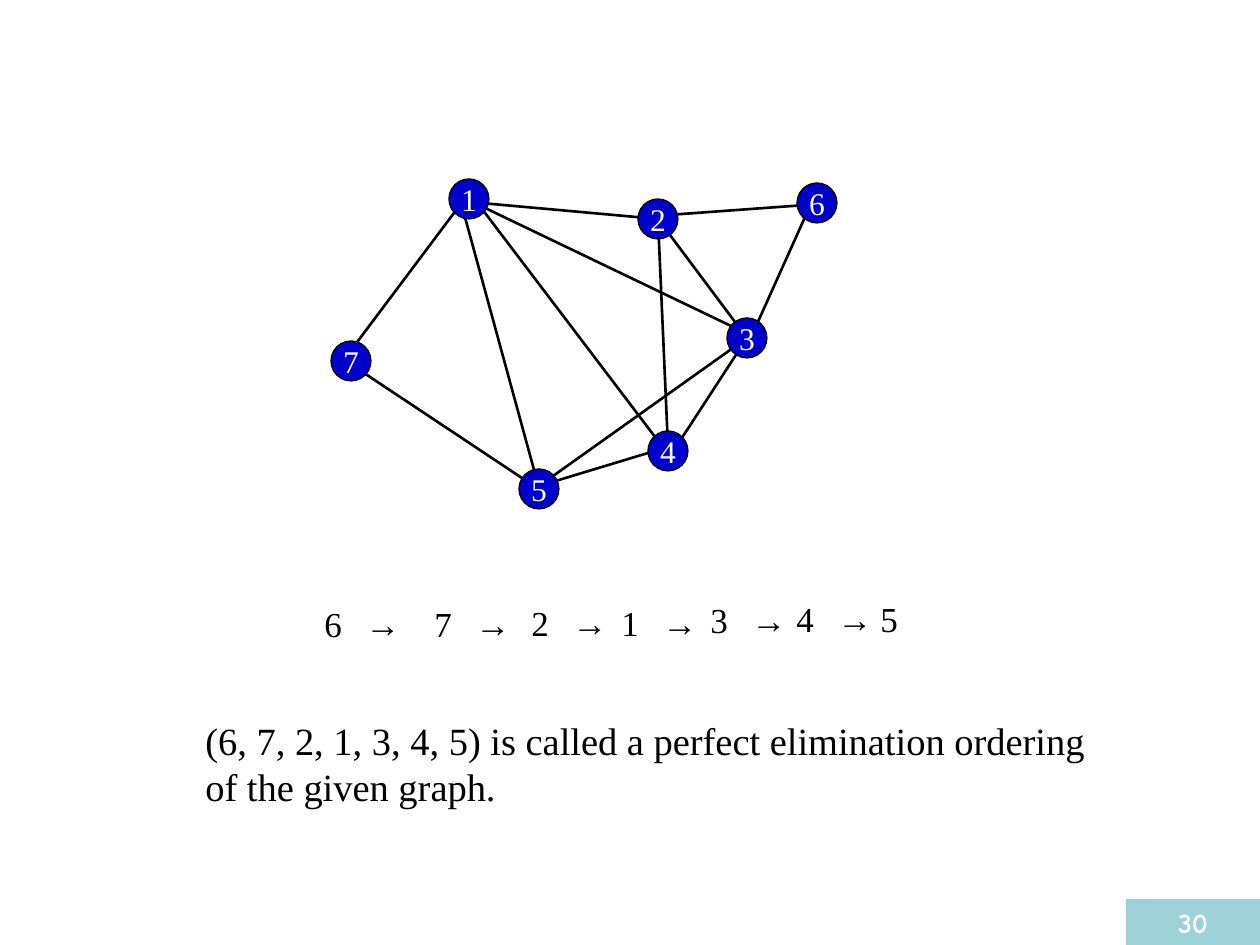
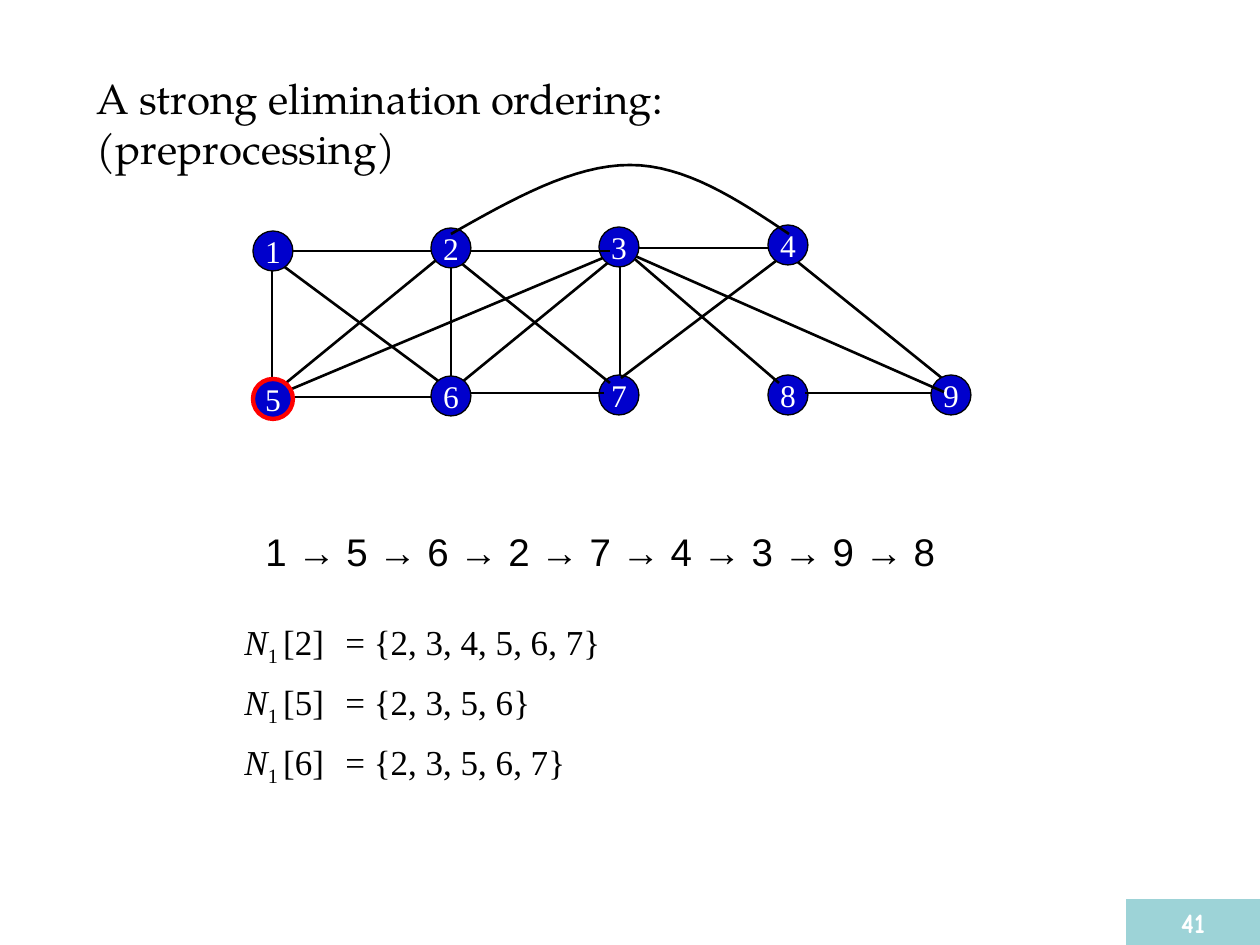
import lxml.etree
import pptx
import pptx.dml.color
import pptx.enum.shapes
import pptx.enum.text
import pptx.oxml.ns
import pptx.util

RGB = pptx.dml.color.RGBColor
ALIGN = pptx.enum.text.PP_ALIGN
ANCHOR = pptx.enum.text.MSO_ANCHOR
SHAPE = pptx.enum.shapes.MSO_SHAPE

BLACK = RGB(0x00, 0x00, 0x00)
WHITE = RGB(0xFF, 0xFF, 0xFF)
NODE_BLUE = RGB(0x00, 0x00, 0xCC)
MARK_RED = RGB(0xFF, 0x00, 0x00)
BAND_TEAL = RGB(0x9D, 0xD3, 0xD7)

SERIF, SANS = "Times New Roman", "Arial"
TITLE_FONT, NUMBER_FONT = "TeX Gyre Pagella", "Comic Neue"

PAGE_WIDTH, PAGE_HEIGHT = 1260, 945
NODE_SIZE = 40
EDGE_WIDTH = 1.5
TITLE_ONLY, BLANK = 5, 6

# Nodes: label, centre, then the edges drawn just beneath the node.
# All places are relative to the graph's box.
CHORDAL_GRAPH = [
    ("6", 486, 24, [(337, 36, 475, 26), (426, 145, 475, 36)]),
    ("2", 327, 40, [(139, 23, 327, 40), (327, 40, 337, 268),
                    (327, 40, 416, 159)]),
    ("7", 20, 182, [(129, 26, 21, 170), (24, 188, 203, 307)]),
    ("1", 138, 20, [(152, 28, 400, 147), (208, 309, 129, 20),
                    (148, 26, 337, 275)]),
    ("3", 416, 159, [(208, 307, 416, 159), (347, 265, 416, 159)]),
    ("4", 337, 272, [(208, 307, 337, 268)]),
    ("5", 208, 310, []),
]
STRONG_GRAPH = [
    ("8", 535, 230, []),
    ("1", 20, 86, [(36, 86, 185, 86), (19, 100, 19, 218),
                   (188, 218, 29, 100)]),
    ("7", 366, 230, [(367, 90, 367, 218)]),
    ("4", 535, 80, [(527, 93, 368, 213), (382, 83, 521, 83),
                    (536, 90, 695, 218)]),
    ("9", 698, 230, [(552, 228, 681, 228)]),
    ("5", 20, 234, [(357, 90, 29, 228), (187, 92, 28, 222),
                    (34, 232, 188, 232)]),
    ("6", 198, 231, [(212, 228, 351, 228), (362, 92, 203, 222),
                     (198, 90, 198, 218)]),
    ("3", 366, 82, [(373, 87, 691, 227), (377, 90, 526, 218)]),
    ("2", 198, 83, [(198, 90, 357, 218), (208, 86, 357, 86)]),
]
ARC_2_TO_4 = [
    ((198, 69), (260, 34), (320, 0), (377, 0)),
    ((377, 0), (432, 0), (484, 34), (536, 69)),
]

# Steps of the elimination order: label, left, top, arrow font
ORDER_STEPS = [
    ("6", 0, 5, SERIF), ("7", 110, 5, SANS), ("2", 207, 4, SANS),
    ("1", 297, 4, SANS), ("3", 386, 1, SANS), ("4", 472, 0, SANS),
    ("5", 556, 0, None),
]
NEIGHBOURHOODS = [
    ("[2]", "{2, 3, 4, 5, 6, 7}"),
    ("[5]", "{2, 3, 5, 6}"),
    ("[6]", "{2, 3, 5, 6, 7}"),
]


def px(length):
    return pptx.util.Emu(round(length * 914400 / 126))


def format_span(span, size, font=SERIF, color=BLACK, bold=False):
    span.font.size = pptx.util.Pt(size)
    span.font.name = font
    span.font.color.rgb = color
    span.font.bold = bold


def add_span(para, text, size, font=SERIF):
    span = para.add_run()
    span.text = text
    format_span(span, size, font)
    return span


def add_tab_stop(para, place):
    tag = pptx.oxml.ns.qn
    stops = lxml.etree.SubElement(para._p.get_or_add_pPr(), tag("a:tabLst"))
    lxml.etree.SubElement(stops, tag("a:tab"), pos=str(px(place)), algn="l")


def add_text_box(page, left, top, width, height):
    box = page.shapes.add_textbox(px(left), px(top), px(width), px(height))
    box.text_frame.word_wrap = True
    return box.text_frame.paragraphs[0]


def add_shape(page, kind, left, top, width, height, fill=None):
    shape = page.shapes.add_shape(kind, px(left), px(top), px(width), px(height))
    shape.shadow.inherit = False
    if fill is None:
        shape.fill.background()
    else:
        shape.fill.solid()
        shape.fill.fore_color.rgb = fill
    return shape


def set_line(shape, width, color=BLACK):
    shape.line.color.rgb = color
    shape.line.width = pptx.util.Pt(width)


def set_centred_text(shape, text, size, font, bold=False):
    frame = shape.text_frame
    frame.margin_left = frame.margin_right = 0
    frame.margin_top = frame.margin_bottom = 0
    frame.vertical_anchor = ANCHOR.MIDDLE
    frame.word_wrap = False
    frame.text = text
    para = frame.paragraphs[0]
    para.alignment = ALIGN.CENTER
    format_span(para.runs[0], size, font, WHITE, bold)


def add_node_circle(page, x, y, fill=None):
    half = NODE_SIZE / 2
    return add_shape(page, SHAPE.OVAL, x - half, y - half,
                     NODE_SIZE, NODE_SIZE, fill)


def add_edge(page, x1, y1, x2, y2):
    edge = page.shapes.add_connector(
        pptx.enum.shapes.MSO_CONNECTOR.STRAIGHT, px(x1), px(y1), px(x2), px(y2))
    set_line(edge, EDGE_WIDTH)
    lxml.etree.SubElement(edge._element.spPr, pptx.oxml.ns.qn("a:effectLst"))


def add_graph(page, left, top, nodes):
    for label, x, y, edges in nodes:
        for x1, y1, x2, y2 in edges:
            add_edge(page, left + x1, top + y1, left + x2, top + y2)
        circle = add_node_circle(page, left + x, top + y, NODE_BLUE)
        set_line(circle, 0.75)
        set_centred_text(circle, label, 18, SERIF)


def bezier_point(curve, t):
    weights = ((1 - t) ** 3, 3 * t * (1 - t) ** 2, 3 * t * t * (1 - t), t ** 3)
    return [sum(w * point[axis] for w, point in zip(weights, curve))
            for axis in (0, 1)]


def add_arc(page, left, top, curves, steps=16):
    points = [bezier_point(curve, step / steps)
              for curve in curves for step in range(steps + 1)]
    places = [(px(left + x), px(top + y)) for x, y in points]
    builder = page.shapes.build_freeform(*places[0])
    builder.add_line_segments(places[1:], close=False)
    arc = builder.convert_to_shape()
    arc.shadow.inherit = False
    arc.fill.background()
    set_line(arc, EDGE_WIDTH)


def add_order_steps(page, left, top):
    for label, x, y, arrow_font in ORDER_STEPS:
        para = add_text_box(page, left + x, top + y, 115, 55)
        add_tab_stop(para, 41)
        add_span(para, label, 20)
        if arrow_font:
            add_span(para, "\t→", 20, arrow_font)


def add_neighbourhoods(page, left, top):
    for row, (vertex, members) in enumerate(NEIGHBOURHOODS):
        para = add_text_box(page, left, top + 60 * row, 398, 60)
        add_tab_stop(para, 101)
        add_span(para, "N", 20).font.italic = True
        index = add_span(para, "1 ", 20)
        index._r.get_or_add_rPr().set("baseline", "-25000")
        add_span(para, f"{vertex}\t= {members}", 20)


def set_title(page, text, left, top, width, height):
    title = page.shapes.title
    title.left, title.top = px(left), px(top)
    title.width, title.height = px(width), px(height)
    frame = title.text_frame
    frame.word_wrap = True
    frame.auto_size = pptx.enum.text.MSO_AUTO_SIZE.NONE
    frame.vertical_anchor = ANCHOR.TOP
    frame.text = text
    frame.paragraphs[0].alignment = ALIGN.LEFT
    format_span(frame.paragraphs[0].runs[0], 24, TITLE_FONT)


def add_page_number(page, number):
    width, height = 134, 46
    band = add_shape(page, SHAPE.RECTANGLE, PAGE_WIDTH - width,
                     PAGE_HEIGHT - height, width, height, BAND_TEAL)
    band.line.fill.background()
    set_centred_text(band, str(number), 16, NUMBER_FONT, bold=True)


def build_perfect_ordering(deck):
    page = deck.slides.add_slide(deck.slide_layouts[BLANK])
    add_graph(page, 331, 179, CHORDAL_GRAPH)
    add_order_steps(page, 312, 591)
    para = add_text_box(page, 193, 711, 942, 106)
    add_span(para, "(6, 7, 2, 1, 3, 4, 5) is called a perfect elimination "
                   "ordering of the given graph.", 22)
    add_page_number(page, 30)


def build_strong_ordering(deck):
    page = deck.slides.add_slide(deck.slide_layouts[TITLE_ONLY])
    set_title(page, "A strong elimination ordering: (preprocessing)",
              84, 66, 860, 113)
    left, top = 253, 165
    add_graph(page, left, top, STRONG_GRAPH)
    add_arc(page, left, top, ARC_2_TO_4)
    # Ring around node 5
    ring = add_node_circle(page, left + 20, top + 234)
    set_line(ring, 2.5, MARK_RED)
    para = add_text_box(page, 253, 522, 814, 59)
    add_span(para, "1 → 5 → 6 → 2 → 7 → 4 → 3 → 9 → 8", 22, SANS)
    add_neighbourhoods(page, 232, 614)
    add_page_number(page, 41)


def main():
    deck = pptx.Presentation()
    deck.slide_width, deck.slide_height = px(PAGE_WIDTH), px(PAGE_HEIGHT)
    build_perfect_ordering(deck)
    build_strong_ordering(deck)
    deck.save("out.pptx")


if __name__ == "__main__":
    main()
